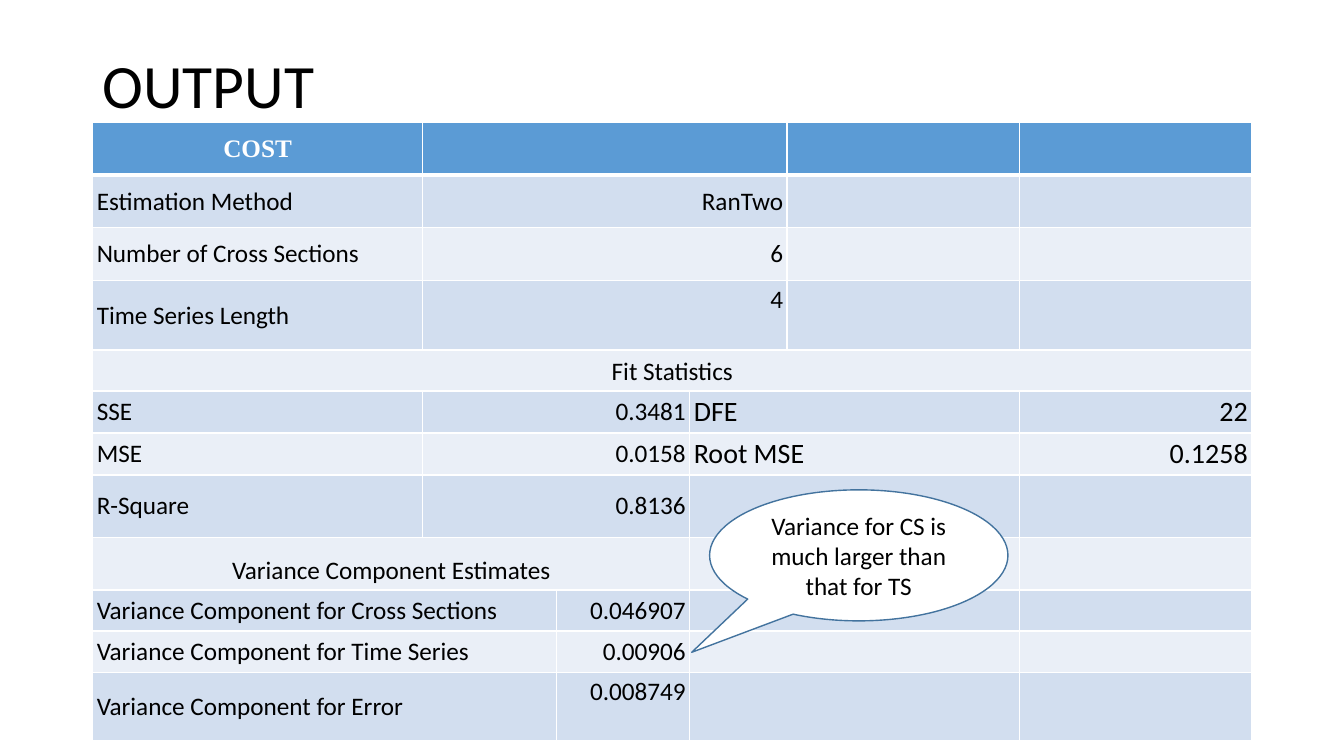
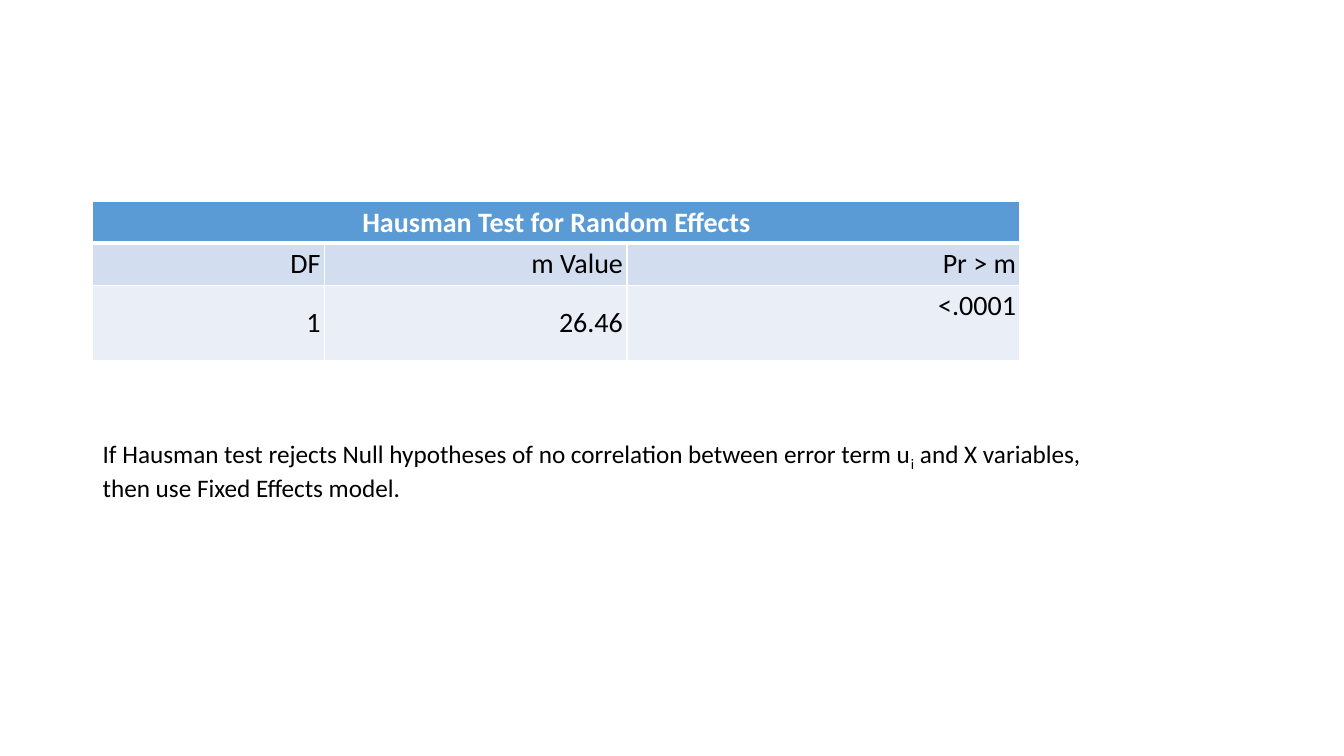
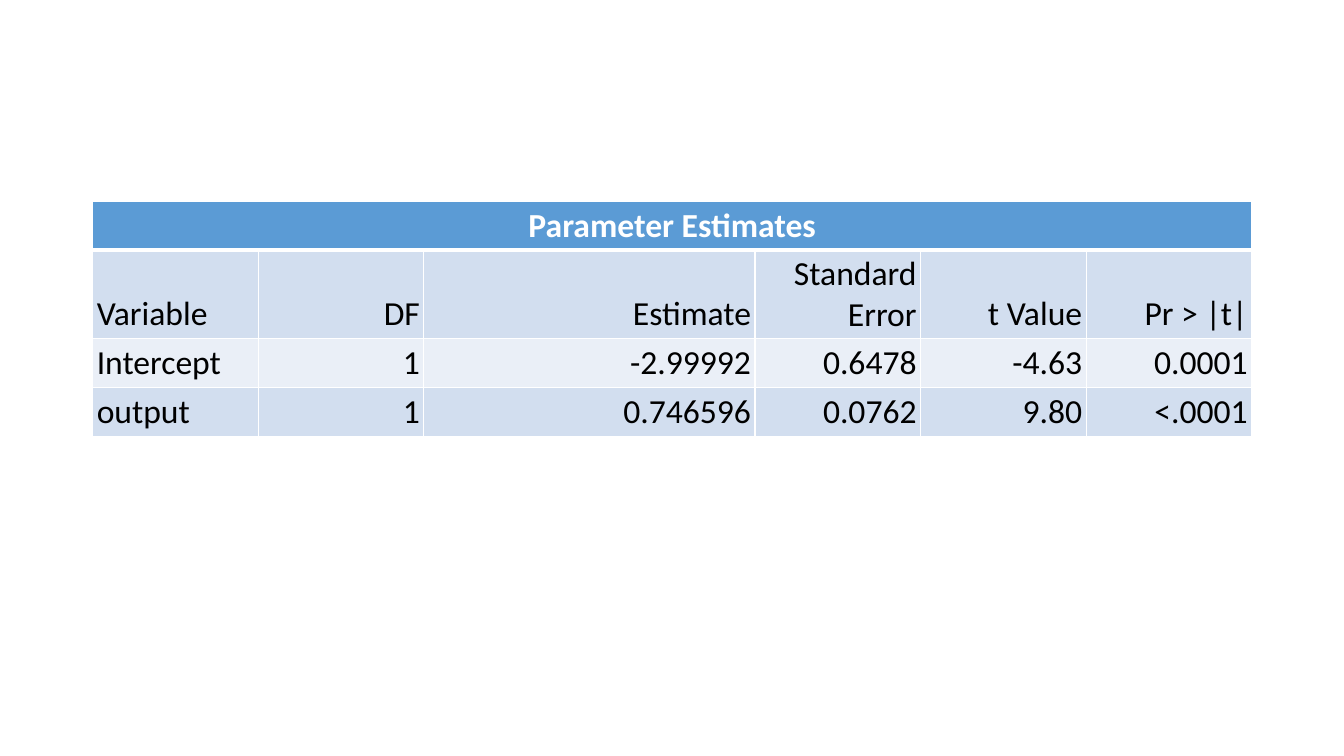
import dataclasses

import pptx
import pptx.dml.color
import pptx.enum.shapes
import pptx.enum.text
import pptx.oxml
import pptx.oxml.ns
import pptx.util

Pt = pptx.util.Pt
ALIGN = pptx.enum.text.PP_ALIGN
ANCHOR = pptx.enum.text.MSO_ANCHOR

# Shared look
COLORS = {
    "text": "000000",
    "white": "FFFFFF",
    "header": "5B9BD5",
    "band_dark": "D2DEEF",
    "band_light": "EAEFF7",
    "outline": "43739E",
}
FONT = "Calibri"
LEFT = 66.25
CONTENT_WIDTH = 828
CELL_MARGIN = 2.88
GRID_LINE, HEADER_LINE = 1, 3


@dataclasses.dataclass
class Cell:
    text: str = ""
    span: int = 1
    align: int = ALIGN.LEFT
    anchor: int = ANCHOR.MIDDLE
    size: float = 0  # 0 takes the size of the table
    font: str = FONT


def right(text, span=1, **options):
    return Cell(text, span, ALIGN.RIGHT, **options)


def center(text, span=1, **options):
    return Cell(text, span, ALIGN.CENTER, **options)


def rgb(name):
    return pptx.dml.color.RGBColor.from_string(COLORS[name])


def format_text(paragraph, size, color="text", bold=False, font=FONT):
    for run in paragraph.runs:
        run.font.size = Pt(size)
        run.font.name = font
        run.font.bold = bold
        run.font.color.rgb = rgb(color)


# Tables
def set_borders(cell, top, bottom):
    properties = cell._tc.get_or_add_tcPr()
    widths = {"lnL": GRID_LINE, "lnR": GRID_LINE, "lnT": top, "lnB": bottom}
    for position, (tag, width) in enumerate(widths.items()):
        border = pptx.oxml.parse_xml(
            f'<a:{tag} {pptx.oxml.ns.nsdecls("a")} w="{Pt(width)}"><a:solidFill>'
            f'<a:srgbClr val="{COLORS["white"]}"/></a:solidFill></a:{tag}>')
        properties.insert(position, border)


def style_cell(cell, row):
    cell.margin_left = cell.margin_right = Pt(CELL_MARGIN)
    cell.margin_top = cell.margin_bottom = Pt(CELL_MARGIN)
    band = "header" if row == 0 else "band_dark" if row % 2 else "band_light"
    cell.fill.solid()
    cell.fill.fore_color.rgb = rgb(band)
    set_borders(cell,
                top=HEADER_LINE if row == 1 else GRID_LINE,
                bottom=HEADER_LINE if row == 0 else GRID_LINE)


def write_cell(cell, content, size, is_header):
    cell.text_frame.text = content.text
    cell.vertical_anchor = content.anchor
    paragraph = cell.text_frame.paragraphs[0]
    paragraph.alignment = content.align
    format_text(paragraph, content.size or size,
                "white" if is_header else "text", is_header, content.font)


def add_banded_table(slide, top, widths, heights, rows, size):
    table = slide.shapes.add_table(len(rows), len(widths), Pt(LEFT), Pt(top),
                                   Pt(sum(widths)), Pt(sum(heights))).table
    for column, width in zip(table.columns, widths):
        column.width = Pt(width)
    for table_row, height in zip(table.rows, heights):
        table_row.height = Pt(height)
    for row, contents in enumerate(rows):
        for column in range(len(widths)):
            style_cell(table.cell(row, column), row)
        column = 0
        for content in contents:
            cell = table.cell(row, column)
            if content.span > 1:
                cell.merge(table.cell(row, column + content.span - 1))
            if content.text:
                write_cell(cell, content, size, row == 0)
            column += content.span


# Title, note and callout
def add_title(slide, text):
    title = slide.shapes.add_textbox(Pt(LEFT), Pt(10.8), Pt(CONTENT_WIDTH), Pt(104.4))
    frame = title.text_frame
    frame.word_wrap = True
    frame.vertical_anchor = ANCHOR.MIDDLE
    frame.text = text
    frame.paragraphs[0].line_spacing = 0.9
    format_text(frame.paragraphs[0], 44)


def add_callout(slide, text):
    callout = slide.shapes.add_shape(
        pptx.enum.shapes.MSO_SHAPE.OVAL_CALLOUT, Pt(506.9), Pt(349.9), Pt(213.1), Pt(93.6))
    callout.adjustments[0], callout.adjustments[1] = -0.56, 0.74
    callout.shadow.inherit = False
    callout.fill.solid()
    callout.fill.fore_color.rgb = rgb("white")
    callout.line.color.rgb = rgb("outline")
    callout.line.width = Pt(1)
    frame = callout.text_frame
    frame.word_wrap = True
    frame.vertical_anchor = ANCHOR.MIDDLE
    frame.text = text
    frame.paragraphs[0].alignment = ALIGN.CENTER
    format_text(frame.paragraphs[0], 18)


def add_hausman_note(slide):
    note = slide.shapes.add_textbox(Pt(LEFT), Pt(309.6), Pt(718.6), Pt(51.1))
    frame = note.text_frame
    frame.word_wrap = False
    frame.auto_size = pptx.enum.text.MSO_AUTO_SIZE.SHAPE_TO_FIT_TEXT
    rule, advice = frame.paragraphs[0], frame.add_paragraph()
    rule.text = ("If Hausman test rejects Null hypotheses of no correlation "
                 "between error term u")
    subscript = rule.add_run()
    subscript.text = "i"
    rule.add_run().text = " and X variables,"
    advice.text = "then use Fixed Effects model."
    for paragraph in (rule, advice):
        format_text(paragraph, 18)
    subscript.font._element.set("baseline", "-25000")


# Slides
def build_output(slide):
    add_title(slide, "OUTPUT")
    rows = [
        [center("COST", font="Times New Roman"), Cell(span=3), Cell(), Cell()],
        [Cell("Estimation Method"), right("RanTwo", 3), Cell(), Cell()],
        [Cell("Number of Cross Sections"), right("6", 3), Cell(), Cell()],
        [Cell("Time Series Length"), right("4", 3, anchor=ANCHOR.TOP), Cell(), Cell()],
        [center("Fit Statistics", 6, anchor=ANCHOR.BOTTOM)],
        [Cell("SSE"), right("0.3481", 2), Cell("DFE", 2, size=20), right("22", size=20)],
        [Cell("MSE"), right("0.0158", 2), Cell("Root MSE", 2, size=20),
         right("0.1258", size=20)],
        [Cell("R-Square"), right("0.8136", 2), Cell(span=2), Cell()],
        [center("Variance Component Estimates", 3, anchor=ANCHOR.BOTTOM),
         Cell(span=2), Cell()],
        [Cell("Variance Component for Cross Sections", 2), right("0.046907"),
         Cell(span=2), Cell()],
        [Cell("Variance Component for Time Series", 2), right("0.00906"),
         Cell(span=2), Cell()],
        [Cell("Variance Component for Error", 2), right("0.008749", anchor=ANCHOR.TOP),
         Cell(span=2), Cell()],
    ]
    add_banded_table(
        slide, 87.1, [235.5, 95.5, 95.5, 69.5, 166, 166],
        [38, 37.5, 38, 49.5, 29.3, 30, 30, 44.6, 37.6, 29.3, 29.7, 48.6], rows, 18)
    add_callout(slide, "Variance for CS is much larger than that for TS")


def build_hausman_test(slide):
    rows = [
        [center("Hausman Test for Random Effects", 3, anchor=ANCHOR.BOTTOM)],
        [right(label, anchor=ANCHOR.BOTTOM) for label in ("DF", "m Value", "Pr > m")],
        [right("1"), right("26.46"), right("<.0001", anchor=ANCHOR.TOP)],
    ]
    add_banded_table(slide, 144, [165.6, 216, 280.8], [29.5, 30, 54], rows, 20)
    add_hausman_note(slide)


def build_parameter_estimates(slide):
    headings = ("DF", "Estimate", "Standard Error", "t Value", "Pr > |t|")
    estimates = {
        "Intercept": ("1", "-2.99992", "0.6478", "-4.63", "0.0001"),
        "output": ("1", "0.746596", "0.0762", "9.80", "<.0001"),
    }
    rows = [
        [center("Parameter Estimates", 6, anchor=ANCHOR.BOTTOM)],
        [Cell("Variable", anchor=ANCHOR.BOTTOM)]
        + [right(heading, anchor=ANCHOR.BOTTOM) for heading in headings],
    ]
    for variable, values in estimates.items():
        rows.append([Cell(variable)] + [right(value) for value in values])
    unit = CONTENT_WIDTH / 7
    add_banded_table(slide, 144, [unit, unit, 2 * unit, unit, unit, unit],
                     [34.5, 63.5, 35, 34.5], rows, 24)


def main():
    presentation = pptx.Presentation()
    presentation.slide_width, presentation.slide_height = Pt(960), Pt(540)
    blank = presentation.slide_layouts[6]
    for build in (build_output, build_hausman_test, build_parameter_estimates):
        build(presentation.slides.add_slide(blank))
    presentation.save("out.pptx")


if __name__ == "__main__":
    main()
